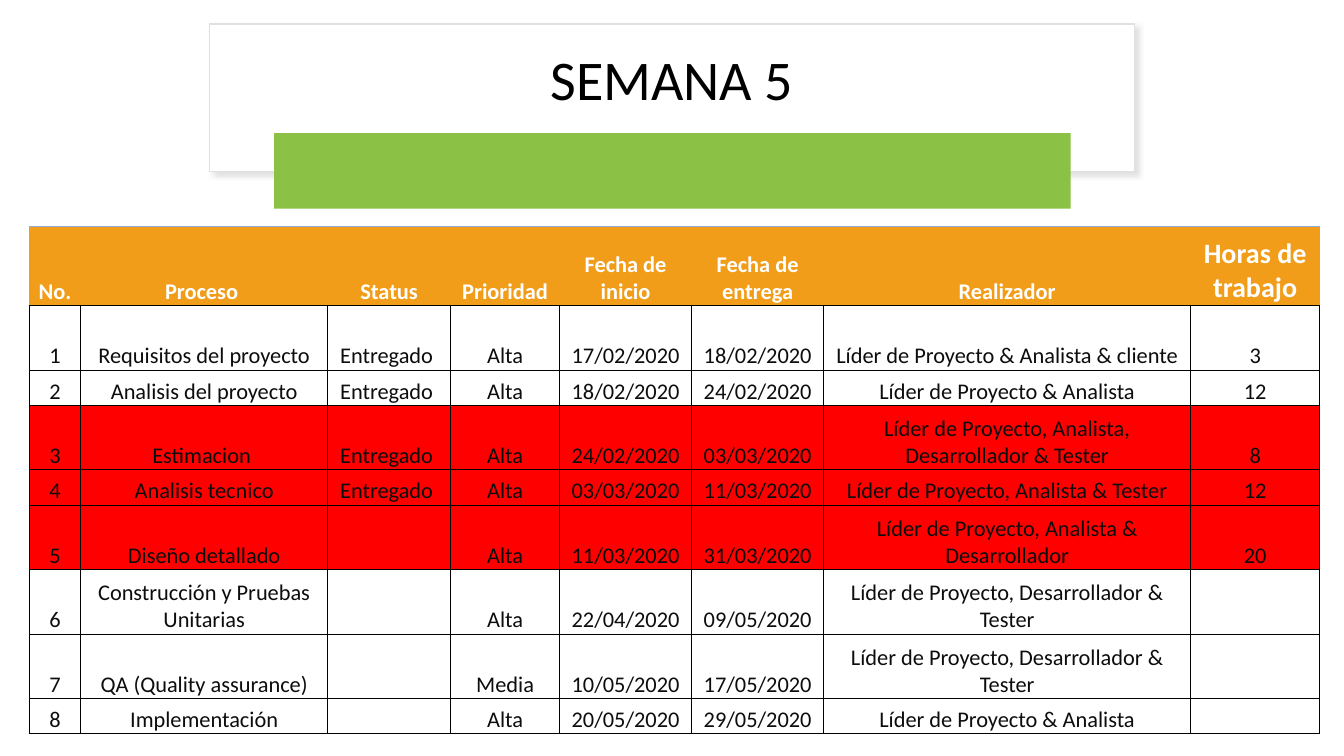
from lxml import etree
from pptx import Presentation
from pptx.dml.color import RGBColor
from pptx.enum.shapes import MSO_SHAPE
from pptx.enum.text import MSO_ANCHOR, PP_ALIGN
from pptx.oxml.ns import qn
from pptx.util import Pt

RECT = MSO_SHAPE.RECTANGLE
CENTER = PP_ALIGN.CENTER
MIDDLE, BOTTOM = MSO_ANCHOR.MIDDLE, MSO_ANCHOR.BOTTOM

WHITE = RGBColor(0xFF, 0xFF, 0xFF)
BLACK = RGBColor(0x00, 0x00, 0x00)
INK = RGBColor(0x0D, 0x0D, 0x0D)
GREEN = RGBColor(0x8B, 0xC1, 0x45)
ORANGE = RGBColor(0xF1, 0x9D, 0x19)
RED = RGBColor(0xFF, 0x00, 0x00)
BLUE = RGBColor(0x8E, 0xA9, 0xDB)
GRAY = RGBColor(0xE1, 0xE1, 0xE1)
SHADOW = RGBColor(0xC5, 0xC3, 0xC3)

FONT = "Calibri"
PX = 9144
COLS = [51, 245, 122, 108, 131, 131, 364, 128]
HEADER_H, TALL, SHORT = 78, 64, 35
HEADERS = ["No.", "Proceso ", "Status", "Prioridad", "Fecha de inicio",
           "Fecha de entrega", "Realizador", "Horas de trabajo"]
DONE = "Entregado "
TASKS = [
    (TALL, WHITE, "Requisitos del proyecto", DONE, "Alta", "17/02/2020",
     "18/02/2020", "Líder de Proyecto & Analista & cliente", "3"),
    (SHORT, WHITE, "Analisis del proyecto", DONE, "Alta", "18/02/2020",
     "24/02/2020", "Líder de Proyecto & Analista", "12"),
    (TALL, RED, "Estimacion ", DONE, "Alta", "24/02/2020",
     "03/03/2020", "Líder de Proyecto, Analista, Desarrollador & Tester", "8"),
    (SHORT, RED, "Analisis tecnico", DONE, "Alta", "03/03/2020",
     "11/03/2020", "Líder de Proyecto, Analista & Tester", "12"),
    (TALL, RED, "Diseño detallado", "", "Alta", "11/03/2020",
     "31/03/2020", "Líder de Proyecto, Analista & Desarrollador", "20"),
    (TALL, WHITE, "Construcción y Pruebas Unitarias", "", "Alta", "22/04/2020",
     "09/05/2020", "Líder de Proyecto, Desarrollador & Tester", ""),
    (TALL, WHITE, "QA (Quality assurance)", "", "Media", "10/05/2020",
     "17/05/2020", "Líder de Proyecto, Desarrollador & Tester", ""),
    (SHORT, WHITE, "Implementación", "", "Alta", "20/05/2020",
     "29/05/2020", "Líder de Proyecto & Analista", ""),
]


def px(*lengths):
    """Turn whole px lengths into EMU."""
    return [n * PX for n in lengths]


def add_box(slide, box, fill):
    """Add a plain filled rectangle without line or shadow."""
    sp = slide.shapes.add_shape(RECT, *px(*box))
    sp.shadow.inherit = False
    sp.fill.solid()
    sp.fill.fore_color.rgb = fill
    sp.line.fill.background()
    return sp


def add_shadow(sp):
    """Give a shape a soft shadow to the lower right."""
    effects = sp._element.spPr.find(qn("a:effectLst"))
    shadow = etree.SubElement(effects, qn("a:outerShdw"), blurRad=str(Pt(4)),
                              dist=str(Pt(3)), dir="2700000", algn="tl", rotWithShape="0")
    color = etree.SubElement(shadow, qn("a:srgbClr"), val=str(SHADOW))
    etree.SubElement(color, qn("a:alpha"), val="50000")


def add_title(slide, x, y, w, h):
    """Draw the title card with its green band."""
    card = add_box(slide, (x, y, w, h), WHITE)
    card.line.color.rgb = GRAY
    card.line.width = Pt(1)
    add_shadow(card)
    tf = slide.shapes.add_textbox(*px(x + 22, y + 10, w - 44, 95)).text_frame
    tf.word_wrap = True
    tf.vertical_anchor = MIDDLE
    p = tf.paragraphs[0]
    p.text = "SEMANA 5"
    p.alignment = CENTER
    p.line_spacing = 0.9
    p.space_after = Pt(6)
    p.font.size, p.font.name, p.font.color.rgb = Pt(40), FONT, BLACK
    add_box(slide, (x + 64, y + 108, w - 127, 75), GREEN)


def set_borders(cell, colors):
    """Set left, right, top and bottom borders; None hides one."""
    tc_pr = cell._tc.get_or_add_tcPr()
    for i, (side, color) in enumerate(zip("LRTB", colors)):
        ln = etree.Element(qn(f"a:ln{side}"), w=str(Pt(0.5)))
        if color is None:
            etree.SubElement(ln, qn("a:noFill"))
        else:
            fill = etree.SubElement(ln, qn("a:solidFill"))
            etree.SubElement(fill, qn("a:srgbClr"), val=str(color))
        tc_pr.insert(i, ln)


def fill_cell(cell, text, fill, color, size, bold, borders):
    """Write and style one table cell."""
    cell.margin_left = cell.margin_right = cell.margin_top = PX
    cell.margin_bottom = 0
    cell.vertical_anchor = BOTTOM
    cell.fill.solid()
    cell.fill.fore_color.rgb = fill
    set_borders(cell, borders)
    p = cell.text_frame.paragraphs[0]
    p.text = text
    p.alignment = CENTER
    p.font.size, p.font.name, p.font.bold = Pt(size), FONT, bold
    p.font.color.rgb = color


def add_schedule(slide, x, y):
    """Draw the task table with its top left corner at x, y."""
    heights = [HEADER_H] + [task[0] for task in TASKS]
    table = slide.shapes.add_table(len(heights), len(COLS),
                                   *px(x, y, sum(COLS), sum(heights))).table
    table.first_row = table.horz_banding = False
    for col, w in zip(table.columns, COLS):
        col.width = w * PX
    for row, h in zip(table.rows, heights):
        row.height = h * PX
    last = len(COLS) - 1
    for c, text in enumerate(HEADERS):
        borders = (BLUE if c == 0 else None, BLUE if c == last else None, BLUE, BLACK)
        fill_cell(table.cell(0, c), text, ORANGE, WHITE,
                  20 if c == last else 16, True, borders)
    for r, (_, fill, *values) in enumerate(TASKS, 1):
        for c, text in enumerate([str(r), *values]):
            fill_cell(table.cell(r, c), text, fill, INK, 16, False, [BLACK] * 4)


def main():
    """Build and save the slide."""
    prs = Presentation()
    prs.slide_width, prs.slide_height = px(1333, 750)
    slide = prs.slides.add_slide(prs.slide_layouts[6])
    add_title(slide, 208, 24, 917, 146)
    add_schedule(slide, 29, 225)
    prs.save("out.pptx")


if __name__ == "__main__":
    main()
